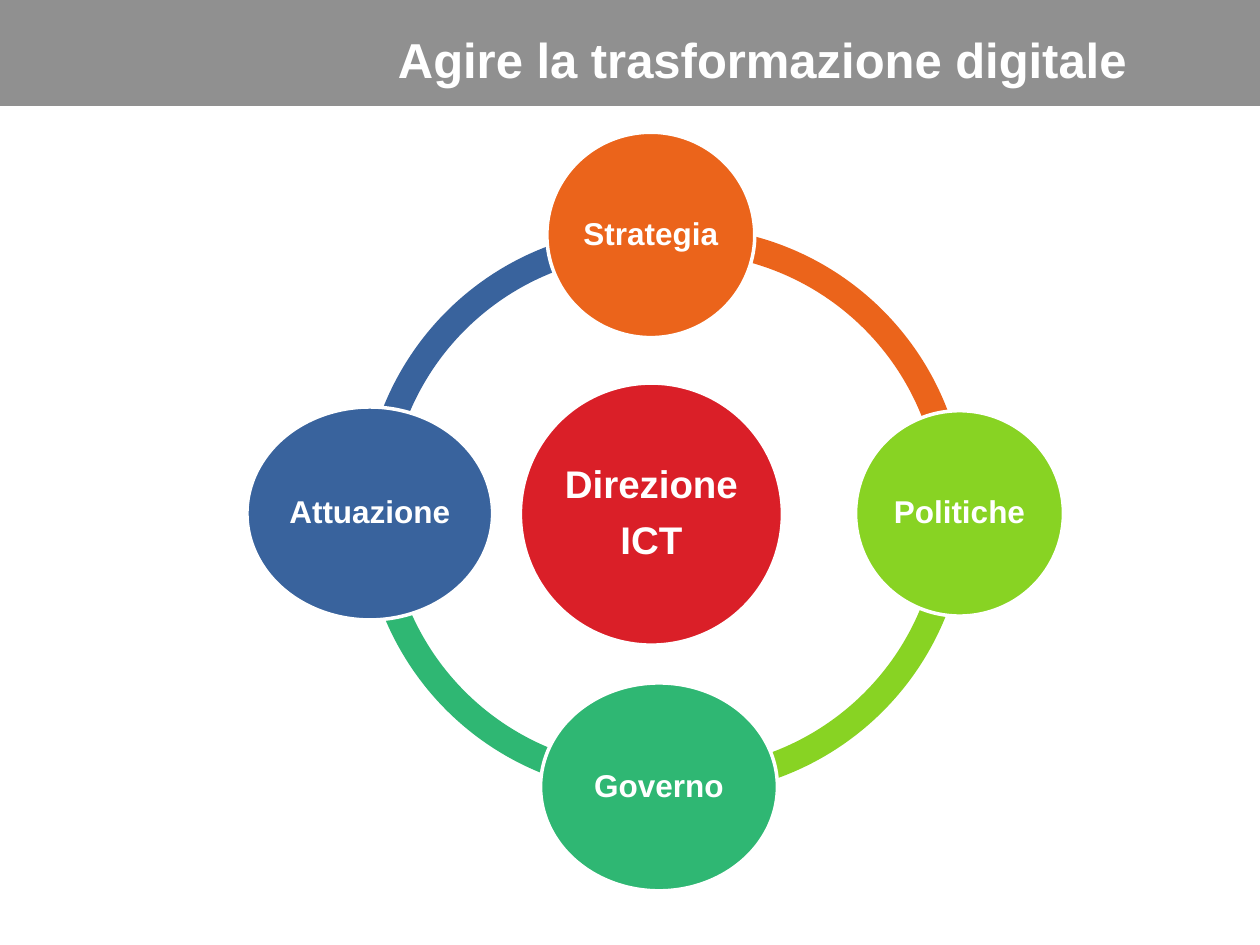
from dataclasses import dataclass

from pptx import Presentation
from pptx.dml.color import RGBColor
from pptx.enum import shapes, text
from pptx.util import Inches, Pt

COLORS = {
    "banner": "909090",
    "white": "FFFFFF",
    "red": "DA1F28",
    "orange": "EB641B",
    "lime": "88D323",
    "green": "2FB773",
    "blue": "39639D",
}
ARC_SIZE = 4.53
ARC_THICKNESS = 0.046
ADJUSTMENT_PER_DEGREE = 0.6


@dataclass
class Arc:
    left: float
    top: float
    start: float
    end: float
    color: str


@dataclass
class Circle:
    label: str
    left: float
    top: float
    width: float
    height: float
    color: str
    size: int = 18


ARCS = [
    Arc(2.88, 1.81, 180, 270.74, "blue"),
    Arc(2.88, 1.77, 87.66, 178.85, "green"),
    Arc(3.14, 1.78, 1.02, 94.58, "lime"),
    Arc(3.14, 1.8, 263.83, 0.33, "orange"),
]
CIRCLES = [
    Circle("Direzione\nICT", 4.13, 3.04, 2.08, 2.08, "red", 22),
    Circle("Strategia", 4.34, 1.05, 1.65, 1.63, "orange"),
    Circle("Politiche", 6.79, 3.26, 1.65, 1.63, "lime"),
    Circle("Governo", 4.29, 5.42, 1.88, 1.65, "green"),
    Circle("Attuazione", 1.96, 3.23, 1.95, 1.69, "blue"),
]


def add_filled(slide, kind, left: float, top: float, width: float, height: float, color: str):
    """Add a flat shape without outline."""
    shape = slide.shapes.add_shape(kind, Inches(left), Inches(top), Inches(width), Inches(height))
    shape.shadow.inherit = False
    shape.fill.solid()
    shape.fill.fore_color.rgb = RGBColor.from_string(COLORS[color])
    shape.line.fill.background()
    return shape


def write(frame, content: str, size: int, alignment) -> None:
    """Write bold white paragraphs, one for each line of content."""
    frame.word_wrap = True
    frame.text = content
    for paragraph in frame.paragraphs:
        paragraph.alignment = alignment
        paragraph.line_spacing = 0.9
        paragraph.font.name = "Arial"
        paragraph.font.size = Pt(size)
        paragraph.font.bold = True
        paragraph.font.color.rgb = RGBColor.from_string(COLORS["white"])


def add_arc(slide, arc: Arc) -> None:
    """Add one segment of the ring."""
    shape = add_filled(slide, shapes.MSO_SHAPE.BLOCK_ARC, arc.left, arc.top, ARC_SIZE, ARC_SIZE, arc.color)
    shape.adjustments[0] = arc.start * ADJUSTMENT_PER_DEGREE
    shape.adjustments[1] = arc.end * ADJUSTMENT_PER_DEGREE
    shape.adjustments[2] = ARC_THICKNESS


def add_circle(slide, circle: Circle) -> None:
    """Add a labelled ellipse with a white outline."""
    shape = add_filled(slide, shapes.MSO_SHAPE.OVAL, circle.left, circle.top,
                       circle.width, circle.height, circle.color)
    shape.line.color.rgb = RGBColor.from_string(COLORS["white"])
    shape.line.width = Pt(2)
    frame = shape.text_frame
    frame.margin_left = frame.margin_right = frame.margin_top = frame.margin_bottom = Inches(0.03)
    frame.vertical_anchor = text.MSO_ANCHOR.MIDDLE
    write(frame, circle.label, circle.size, text.PP_ALIGN.CENTER)
    for paragraph in frame.paragraphs[:-1]:
        paragraph.space_after = Pt(8.5)


def main() -> None:
    """Build the slide and save it."""
    presentation = Presentation()
    presentation.slide_width, presentation.slide_height = Inches(10), Inches(7.5)
    slide = presentation.slides.add_slide(presentation.slide_layouts[6])
    add_filled(slide, shapes.MSO_SHAPE.RECTANGLE, 0, 0, 10, 0.84, "banner")
    for arc in ARCS:
        add_arc(slide, arc)
    for circle in CIRCLES:
        add_circle(slide, circle)
    title = slide.shapes.add_textbox(Inches(1.24), Inches(0.24), Inches(7.8), Inches(0.37))
    write(title.text_frame, "Agire la trasformazione digitale", 28, text.PP_ALIGN.RIGHT)
    presentation.save("out.pptx")


if __name__ == "__main__":
    main()
